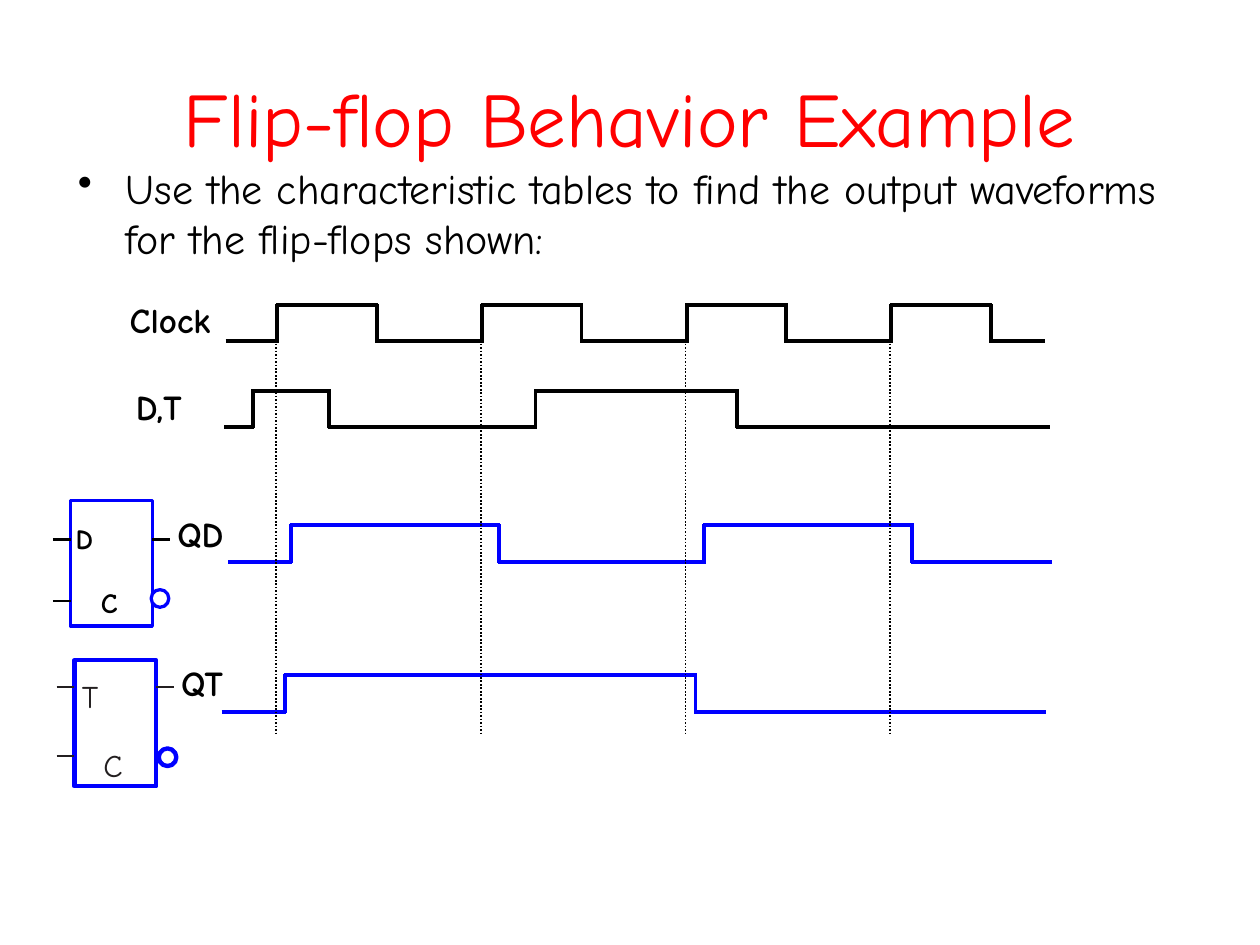
from pptx import Presentation, util as u
from pptx.dml.color import RGBColor
from pptx.enum import dml, shapes, text
from pptx.oxml import ns
from lxml import etree

WIDTH, HEIGHT = 10, 7.5
FONT = "Comic Neue"
BLACK, BLUE, RED, WHITE, DARK = "000000", "0000FF", "FF0000", "FFFFFF", "231F20"
FIRST_EDGE, PERIOD, CYCLES = 2.2, 1.625, 4
SWING = 0.29


def color(value):
    return RGBColor.from_string(value)


def inches(*values):
    return [u.Inches(value) for value in values]


def style_line(line, value, weight):
    line.color.rgb = color(value)
    line.width = u.Pt(weight)


def write(shape, words, size, value=BLACK, bold=False, margin=None):
    frame = shape.text_frame
    frame.text = words
    if margin is not None:
        frame.margin_left = frame.margin_right = u.Inches(margin)
        frame.margin_top = frame.margin_bottom = u.Inches(margin)
    font = frame.paragraphs[0].runs[0].font
    font.name, font.size, font.bold = FONT, u.Pt(size), bold
    font.color.rgb = color(value)
    return frame


def add_text(page, place, words, size, value=BLACK, bold=False, margin=None, wrap=True):
    box = page.shapes.add_textbox(*inches(*place))
    frame = write(box, words, size, value, bold, margin)
    frame.word_wrap = wrap
    return frame


def add_line(page, start, end, value=BLACK, weight=2.25, dotted=False):
    line = page.shapes.add_connector(
        shapes.MSO_CONNECTOR.STRAIGHT, *inches(*start, *end))
    style_line(line.line, value, weight)
    if dotted:
        line.line.dash_style = dml.MSO_LINE.ROUND_DOT
    etree.SubElement(line._element.spPr, ns.qn("a:effectLst"))


def add_outline(page, kind, place, weight):
    shape = page.shapes.add_shape(kind, *inches(*place))
    shape.shadow.inherit = False
    shape.fill.solid()
    shape.fill.fore_color.rgb = color(WHITE)
    style_line(shape.line, BLUE, weight)


def add_title(page, words):
    title = page.shapes.title
    title.left, title.top, title.width, title.height = inches(0.5, 0.3, 9, 1.25)
    frame = write(title, words, 44, RED)
    frame.vertical_anchor = text.MSO_ANCHOR.MIDDLE
    frame.paragraphs[0].alignment = text.PP_ALIGN.CENTER


def add_bullet(page, words):
    frame = add_text(page, (0.52, 1.24, 8.86, 5.5), words, 24)
    props = frame.paragraphs[0]._p.get_or_add_pPr()
    props.set("marL", str(u.Inches(0.38)))
    props.set("indent", str(u.Inches(-0.38)))
    etree.SubElement(props, ns.qn("a:buChar")).set("char", "\u2022")


def add_wave(page, low, start, toggles, end, value=BLACK):
    """Draw a signal that starts low and changes level at every toggle."""
    high = low - SWING
    stops = [start, *toggles, end]
    for index, (left, right) in enumerate(zip(stops, stops[1:])):
        level = high if index % 2 else low
        add_line(page, (left - 0.01, level), (right + 0.01, level), value)
    for edge in toggles:
        add_line(page, (edge, low + 0.01), (edge, high - 0.01), value)


def add_flip_flop(page, left, top, letter, letter_at, c_at, size, bold, ink,
                  pins, bubble, weight, pin_weight):
    width, pin = 0.65, 0.14
    right = left + width
    data, clock = pins
    add_outline(page, shapes.MSO_SHAPE.RECTANGLE, (left, top, width, 1), weight)
    # Inverted output
    add_outline(page, shapes.MSO_SHAPE.OVAL, (*bubble, 0.14, 0.14), weight)
    # Clock wedge
    builder = page.shapes.build_freeform(left, top + 0.71, scale=u.Inches(1))
    builder.add_line_segments(
        [(left + 0.18, top + 0.78), (left, top + 0.85)], close=False)
    wedge = builder.convert_to_shape()
    wedge.shadow.inherit = False
    wedge.fill.background()
    style_line(wedge.line, BLUE, weight)
    # Pin letters
    for words, (across, down) in ((letter, letter_at), ("C", c_at)):
        add_text(page, (left + across, top + down, 0.16, size / 60), words,
                 size, ink, bold, margin=0, wrap=False)
    # Pins
    for edge, row in ((left - pin, data), (left - pin, clock), (right, data)):
        add_line(page, (edge, top + row), (edge + pin, top + row), ink, pin_weight)


def main():
    deck = Presentation()
    deck.slide_width, deck.slide_height = inches(WIDTH, HEIGHT)
    page = deck.slides.add_slide(deck.slide_layouts[5])

    add_title(page, "Flip-flop Behavior Example")
    add_bullet(page, "Use the characteristic tables to find the output "
                     "waveforms for the flip-flops shown:")

    # Inputs
    rises = [FIRST_EDGE + PERIOD * cycle for cycle in range(CYCLES)]
    clock = [edge for rise in rises for edge in (rise, rise + 0.79)]
    add_wave(page, 2.71, 1.8, clock, 8.28)
    add_wave(page, 3.39, 1.79, [2.01, 2.61, 4.25, 5.85], 8.32)

    # Outputs
    add_wave(page, 4.46, 1.82, [2.31, 3.96, 5.59, 7.24], 8.34, BLUE)
    add_wave(page, 5.65, 1.77, [2.26, 5.52], 8.29, BLUE)

    # Signal names
    for words, left, top, width in (("Clock", 0.93, 2.32, 0.91),
                                    ("D,T", 0.98, 3.01, 0.89),
                                    ("QD", 1.31, 4.02, 0.73),
                                    ("QT", 1.34, 5.2, 0.73)):
        add_text(page, (left, top, width, 0.43), words, 20, bold=True)

    # Symbols
    add_flip_flop(page, 0.56, 3.97, "D", (0.04, 0.17), (0.24, 0.68), 16, True,
                  BLACK, (0.31, 0.8), (1.2, 4.68), 1.88, 1.5)
    add_flip_flop(page, 0.59, 5.24, "T", (0.06, 0.13), (0.23, 0.68), 18, False,
                  DARK, (0.21, 0.76), (1.26, 5.94), 2.5, 1.25)

    # Rising clock edges
    for edge in rises:
        add_line(page, (edge - 0.01, 2.7), (edge - 0.01, 5.82), weight=1, dotted=True)

    deck.save("out.pptx")


main()
